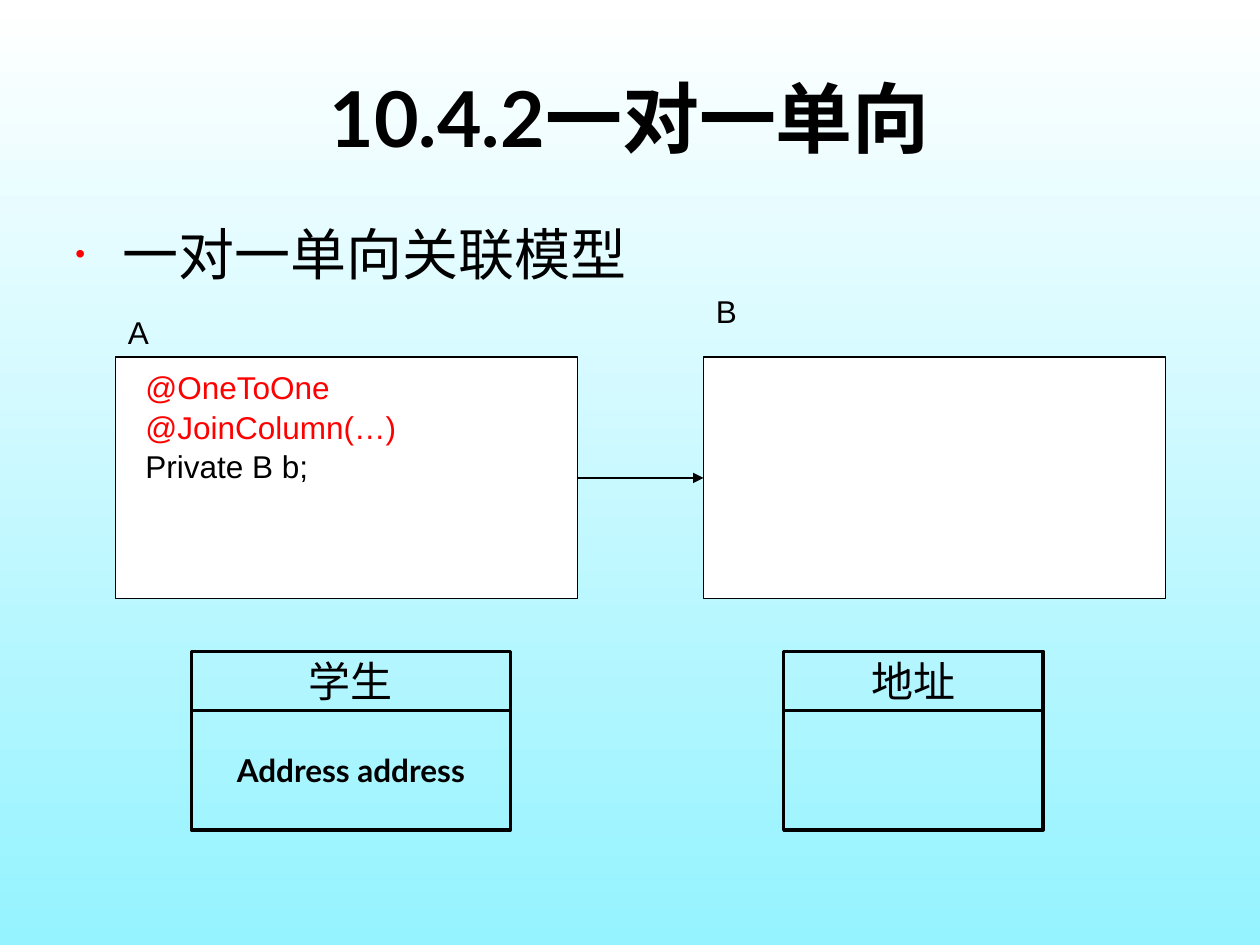
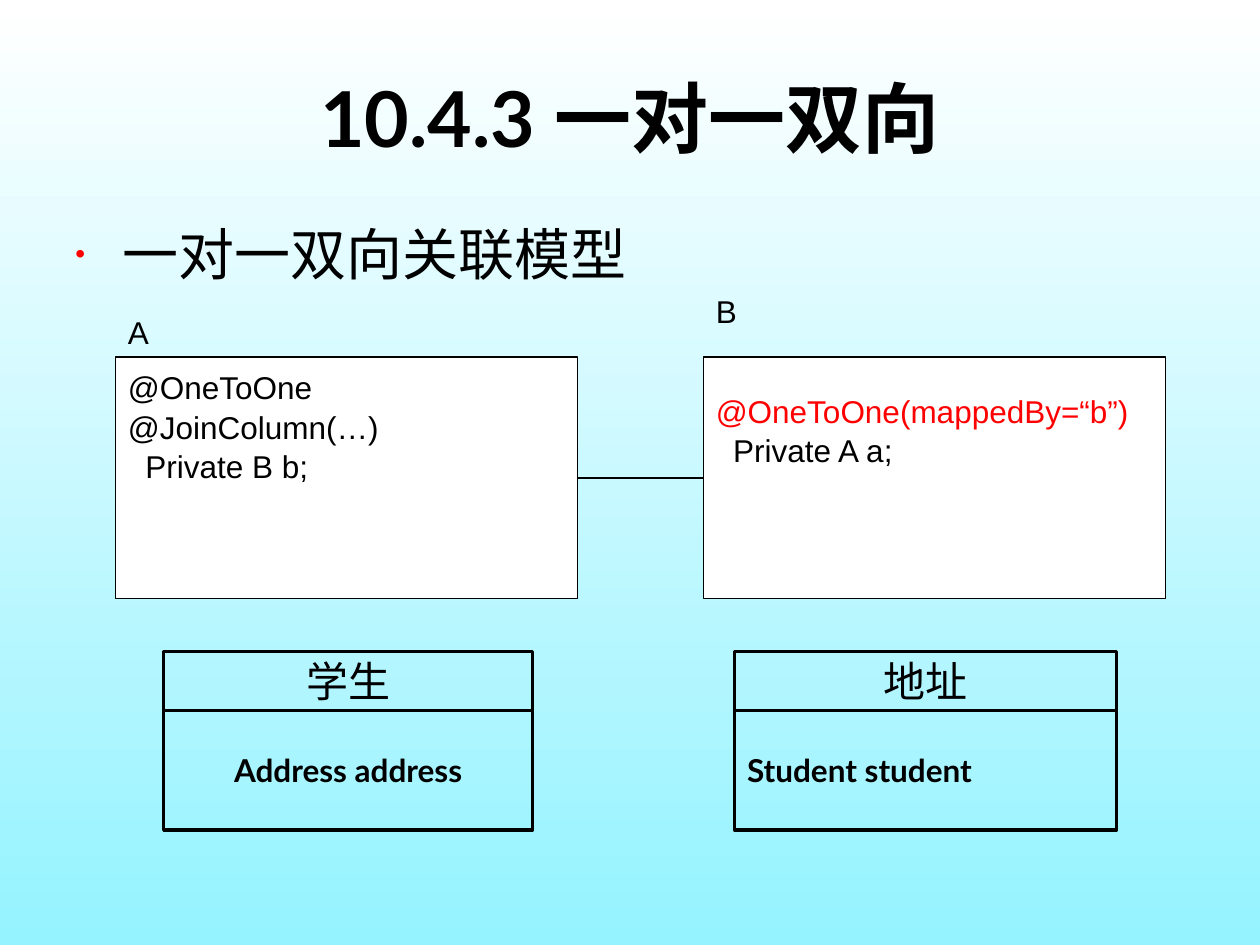
"""Build two slides on one-to-one entity associations: one-way and two-way."""
from lxml import etree
from pptx import Presentation
from pptx.dml.color import RGBColor
from pptx.enum.shapes import MSO_CONNECTOR, MSO_SHAPE
from pptx.enum.text import MSO_ANCHOR, MSO_AUTO_SIZE, PP_ALIGN
from pptx.oxml.ns import qn
from pptx.util import Cm, Pt

RECTANGLE, STRAIGHT = MSO_SHAPE.RECTANGLE, MSO_CONNECTOR.STRAIGHT
TOP, MIDDLE = MSO_ANCHOR.TOP, MSO_ANCHOR.MIDDLE
LEFT, CENTER = PP_ALIGN.LEFT, PP_ALIGN.CENTER
NO_AUTOFIT = MSO_AUTO_SIZE.NONE

BLACK, WHITE, RED, SKY = "000000", "FFFFFF", "FF0000", "94F3FF"
HEADING_FONT, CODE_FONT, CHINESE_FONT = "Lato", "Arial", "Noto Sans CJK SC"
TITLE_ONLY = 5

ENTITY_LEFTS, ENTITY_TOP, ENTITY_WIDTH, ENTITY_HEIGHT = (2.33, 14.18), 7.2, 9.32, 4.87
LABELS = (("A", 6.15), ("B", 5.72))
CLASS_TOP, CLASS_NAME_HEIGHT, CLASS_FIELD_HEIGHT = 13.13, 1.19, 2.41

ASSOCIATIONS = [
    {
        "title": "10.4.2一对一单向",
        "model": "一对一单向关联模型",
        "entities": [
            ([("  @OneToOne", RED), ("  @JoinColumn(…)", RED), ("  Private B b;", BLACK)], 0.18),
            ([], 0.18),
        ],
        "one_way": True,
        "classes": [
            ("学生", "Address address", CENTER, 3.86, 6.43),
            ("地址", "", CENTER, 15.8, 5.23),
        ],
    },
    {
        "title": "10.4.3 一对一双向",
        "model": "一对一双向关联模型",
        "entities": [
            ([("@OneToOne", BLACK), ("@JoinColumn(…)", BLACK), ("  Private B b;", BLACK)], 0.18),
            ([("@OneToOne(mappedBy=“b”)", RED), ("  Private A a;", BLACK)], 0.66),
        ],
        "one_way": False,
        "classes": [
            ("学生", "Address address", CENTER, 3.3, 7.44),
            ("地址", "Student student", LEFT, 14.81, 7.7),
        ],
    },
]

rgb = RGBColor.from_string


def write(frame, lines, size, font, bold=False, align=LEFT, anchor=TOP, spacing=1.0):
    """Fill a text frame with (text, colour) lines in one style."""
    frame.word_wrap = True
    frame.auto_size = NO_AUTOFIT
    frame.vertical_anchor = anchor
    for number, (text, colour) in enumerate(lines):
        paragraph = frame.add_paragraph() if number else frame.paragraphs[0]
        paragraph.text = text
        paragraph.alignment = align
        paragraph.line_spacing = spacing
        for run in paragraph.runs:
            run.font.size = Pt(size)
            run.font.bold = bold
            run.font.color.rgb = rgb(colour)
            run.font.name = font
            etree.SubElement(run.font._element, qn("a:ea"), typeface=CHINESE_FONT)


def add_box(slide, left, top, width, height, line_width, fill=None):
    """Add a black-edged rectangle, measured in centimetres."""
    box = slide.shapes.add_shape(RECTANGLE, Cm(left), Cm(top), Cm(width), Cm(height))
    box.shadow.inherit = False
    if fill:
        box.fill.solid()
        box.fill.fore_color.rgb = rgb(fill)
    else:
        box.fill.background()
    box.line.color.rgb = rgb(BLACK)
    box.line.width = Pt(line_width)
    return box


prs = Presentation()
prs.slide_width, prs.slide_height = Cm(25.4), Cm(19.05)

backdrop = prs.slide_master.background.fill
backdrop.gradient()
backdrop.gradient_angle = 270
for stop, colour in zip(backdrop.gradient_stops, (WHITE, SKY)):
    stop.color.rgb = rgb(colour)

for association in ASSOCIATIONS:
    slide = prs.slides.add_slide(prs.slide_layouts[TITLE_ONLY])

    title = slide.shapes.title
    title.left, title.top, title.width, title.height = Cm(1.27), Cm(0.76), Cm(22.86), Cm(3.18)
    write(title.text_frame, [(association["title"], BLACK)], 44, HEADING_FONT, True, CENTER, MIDDLE)

    model = slide.shapes.add_textbox(Cm(1.27), Cm(4.45), Cm(22.86), Cm(12.57))
    properties = model.text_frame.paragraphs[0]._p.get_or_add_pPr()
    properties.set("marL", str(Cm(0.95)))
    properties.set("indent", str(-Cm(0.95)))
    bullet_colour = etree.SubElement(properties, qn("a:buClr"))
    etree.SubElement(bullet_colour, qn("a:srgbClr"), val=RED)
    etree.SubElement(properties, qn("a:buSzPct"), val="50000")
    etree.SubElement(properties, qn("a:buFont"), typeface=CODE_FONT)
    etree.SubElement(properties, qn("a:buChar"), char="•")
    write(model.text_frame, [(association["model"], BLACK)], 32, CHINESE_FONT, spacing=0.9)

    entities = []
    for left, (code, inset) in zip(ENTITY_LEFTS, association["entities"]):
        entity = add_box(slide, left, ENTITY_TOP, ENTITY_WIDTH, ENTITY_HEIGHT, 0.75, WHITE)
        entity.text_frame.margin_top = Cm(inset)
        write(entity.text_frame, code, 18, CODE_FONT, spacing=1.05)
        entities.append(entity)

    for left, (letter, top) in zip(ENTITY_LEFTS, LABELS):
        label = slide.shapes.add_textbox(Cm(left), Cm(top), Cm(4.24), Cm(1.02))
        write(label.text_frame, [(letter, BLACK)], 18, CODE_FONT, spacing=1.05)

    relation = slide.shapes.add_connector(STRAIGHT, 0, 0, 0, 0)
    relation.begin_connect(entities[0], 3)
    relation.end_connect(entities[1], 1)
    relation.line.color.rgb = rgb(BLACK)
    relation.line.width = Pt(0.75)
    if association["one_way"]:
        etree.SubElement(relation.line._get_or_add_ln(), qn("a:tailEnd"), type="triangle")
    etree.SubElement(relation._element.spPr, qn("a:effectLst"))

    for name, field, align, left, width in association["classes"]:
        header = add_box(slide, left, CLASS_TOP, width, CLASS_NAME_HEIGHT, 2)
        write(header.text_frame, [(name, BLACK)], 24, HEADING_FONT, False, CENTER, MIDDLE)
        body = add_box(slide, left, CLASS_TOP + CLASS_NAME_HEIGHT, width, CLASS_FIELD_HEIGHT, 2)
        if field:
            write(body.text_frame, [(field, BLACK)], 18, HEADING_FONT, True, align, MIDDLE)

prs.save("out.pptx")
